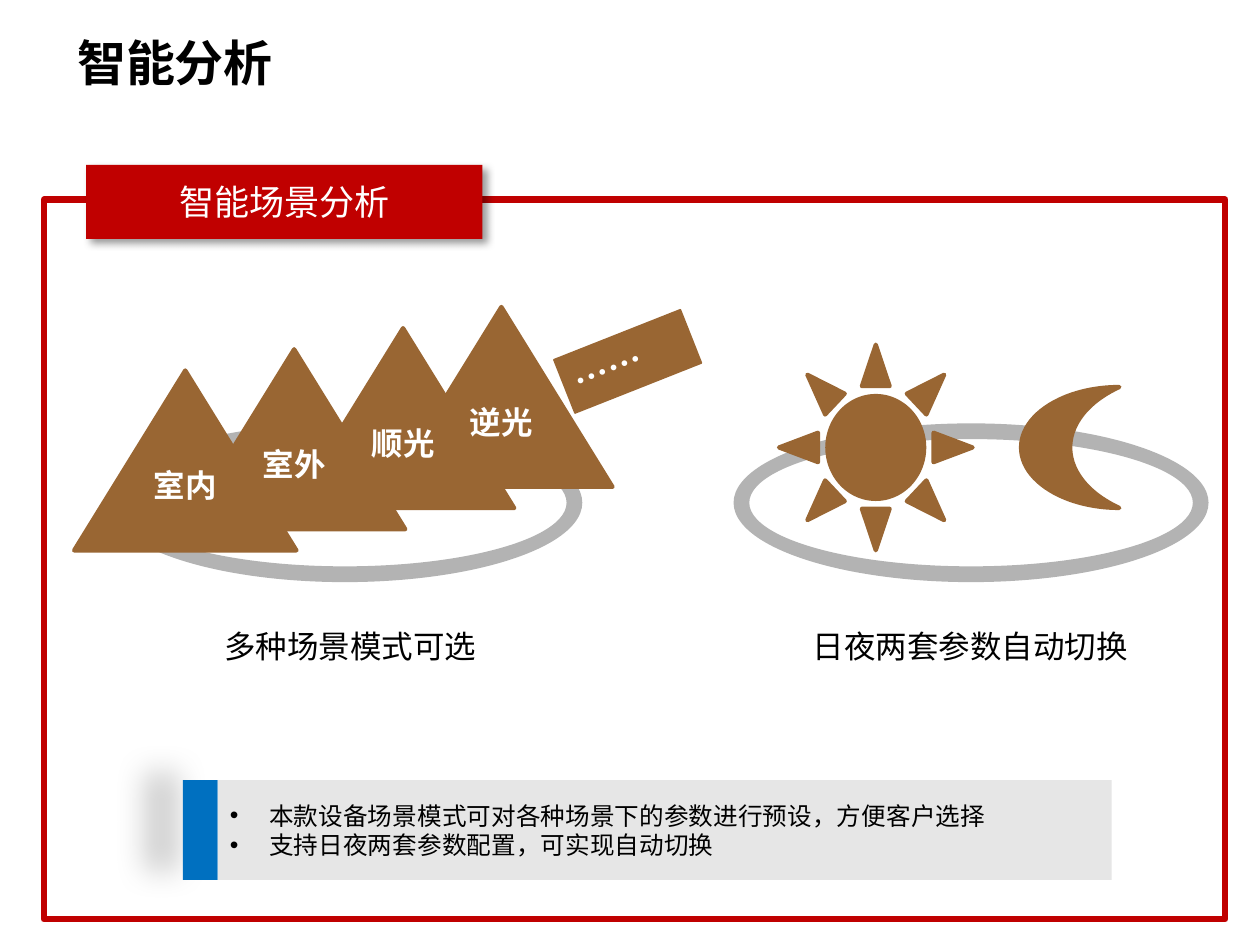
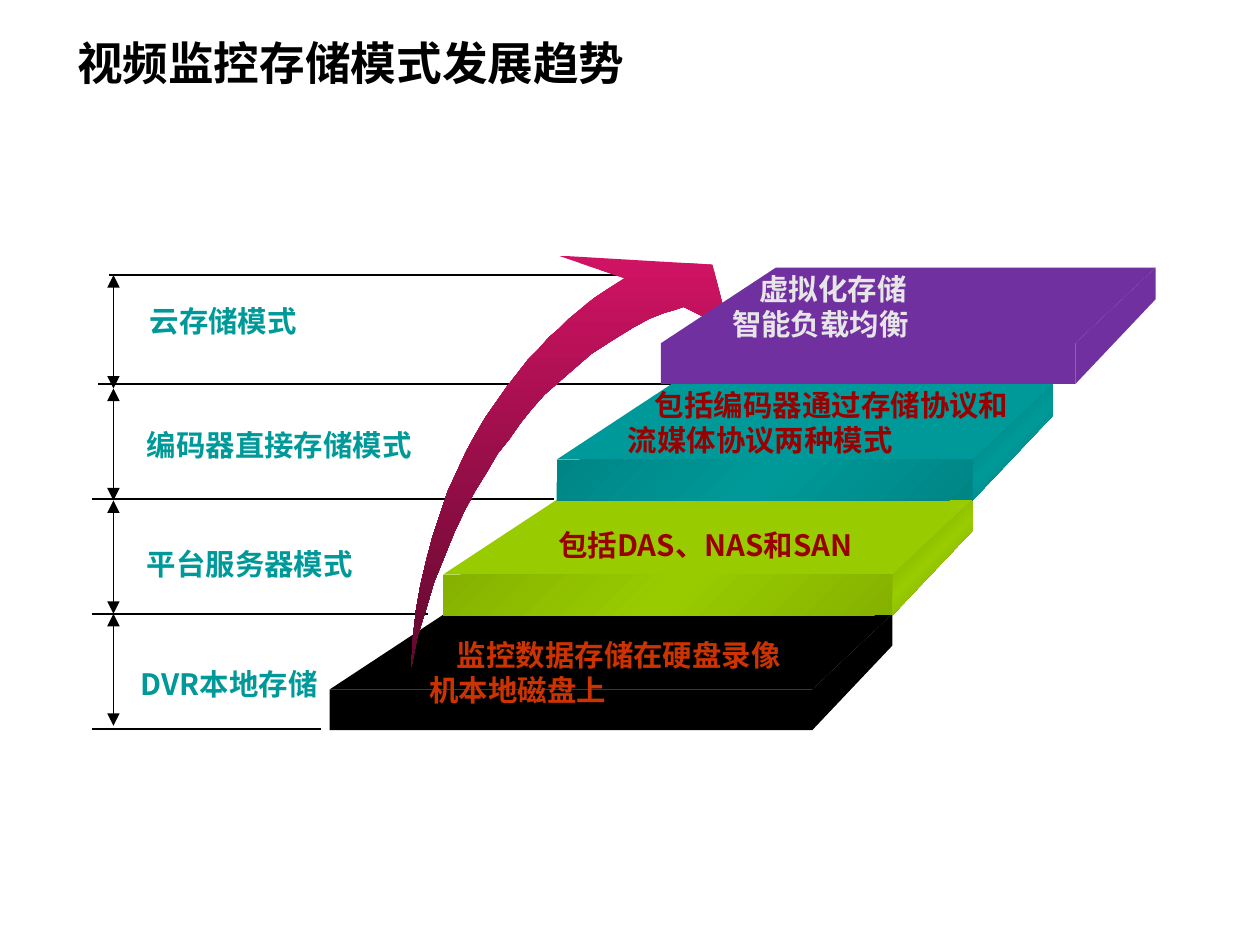
from dataclasses import dataclass
from itertools import pairwise

from lxml import etree
from pptx import Presentation
from pptx.dml.color import RGBColor
from pptx.enum.shapes import MSO_CONNECTOR as Connector, MSO_SHAPE as Shape
from pptx.enum.text import MSO_ANCHOR as Anchor, PP_ALIGN as Align
from pptx.oxml.ns import qn
from pptx.util import Pt

SCALE = 9144  # EMU per px, 100 px to the inch
LINE_PITCH = 1.2

BLACK = RGBColor(0x00, 0x00, 0x00)
WHITE = RGBColor(0xFF, 0xFF, 0xFF)
RED = RGBColor(0xC0, 0x00, 0x00)
BLUE = RGBColor(0x00, 0x70, 0xC0)
BROWN = RGBColor(0x99, 0x66, 0x33)
RING_GRAY = RGBColor(0xB3, 0xB3, 0xB3)
PALE_GRAY = RGBColor(0xE6, 0xE6, 0xE6)
TEAL = RGBColor(0x00, 0x99, 0x99)
TEAL_SHADE = RGBColor(0x00, 0x85, 0x85)
TEAL_DARK = RGBColor(0x00, 0x6D, 0x6D)
GREEN = RGBColor(0x99, 0xCC, 0x00)
GREEN_SHADE = RGBColor(0x85, 0xB1, 0x00)
GREEN_DARK = RGBColor(0x6D, 0x92, 0x00)
PURPLE = RGBColor(0x70, 0x30, 0xA0)
DARK_RED = RGBColor(0x99, 0x00, 0x00)
ORANGE_RED = RGBColor(0xCC, 0x33, 0x00)
PINK = RGBColor(0xD1, 0x13, 0x64)
WINE = RGBColor(0x61, 0x09, 0x2E)

SANS = "Noto Sans CJK SC"
DEJAVU = "DejaVu Sans"
ARIAL = "Arial"


@dataclass(frozen=True)
class Box:
    left: int
    top: int
    width: int
    height: int

    def emu(self) -> list[int]:
        return [n * SCALE for n in (self.left, self.top, self.width, self.height)]


@dataclass(frozen=True)
class Style:
    size: float
    color: RGBColor
    bold: bool = True
    font: str = SANS
    align: Align = Align.LEFT
    anchor: Anchor = Anchor.MIDDLE
    indent: int = 0
    bullet: bool = False


@dataclass(frozen=True)
class Label:
    box: Box
    text: str
    style: Style


@dataclass(frozen=True)
class Shadow:
    alpha: int
    blur: float
    distance: float
    angle: int


@dataclass(frozen=True)
class Slab:
    left: int
    right: int
    top: int
    color: RGBColor
    front_shade: RGBColor
    side_shade: RGBColor


def add_xml(parent, tag: str, **attributes):
    return etree.SubElement(parent, qn(tag), {k: str(v) for k, v in attributes.items()})


def write(shape, text: str, style: Style) -> None:
    """Fill a shape with text; each line of it is a paragraph."""
    frame = shape.text_frame
    frame.text = text
    frame.word_wrap = True
    frame.vertical_anchor = style.anchor
    frame.margin_left = frame.margin_right = 8 * SCALE
    frame.margin_top = frame.margin_bottom = 4 * SCALE
    for index, paragraph in enumerate(frame.paragraphs):
        paragraph.alignment = style.align
        paragraph.line_spacing = Pt(style.size * LINE_PITCH)
        properties = paragraph._p.get_or_add_pPr()
        if style.bullet:
            properties.set("marL", str(style.indent * SCALE))
            properties.set("indent", str(-style.indent * SCALE))
            add_xml(properties, "a:buFont", typeface=ARIAL)
            add_xml(properties, "a:buChar", char="•")
        elif style.indent and index == 0:
            properties.set("indent", str(style.indent * SCALE))
        for run in paragraph.runs:
            run.font.size = Pt(style.size)
            run.font.bold = style.bold
            run.font.name = style.font
            run.font.color.rgb = style.color
            run_properties = run._r.get_or_add_rPr()
            run_properties.set("lang", "zh-CN")
            add_xml(run_properties, "a:ea", typeface=style.font)


def paint(shape, colors: list[RGBColor], angle: int = 45) -> None:
    """Fill with one colour, or with evenly spaced gradient stops."""
    shape.shadow.inherit = False
    shape.line.fill.background()
    if len(set(colors)) == 1:
        shape.fill.solid()
        shape.fill.fore_color.rgb = colors[0]
        return
    shape.fill.gradient()
    gradient = shape._element.spPr.find(qn("a:gradFill"))
    gradient.clear()
    stops = add_xml(gradient, "a:gsLst")
    for index, color in enumerate(colors):
        stop = add_xml(stops, "a:gs", pos=index * 100000 // (len(colors) - 1))
        add_xml(stop, "a:srgbClr", val=color)
    add_xml(gradient, "a:lin", ang=angle * 60000, scaled=0)


def add_figure(slide, kind: Shape, box: Box, *colors: RGBColor, outline: float = 0):
    shape = slide.shapes.add_shape(kind, *box.emu())
    paint(shape, list(colors))
    if outline:
        shape.line.color.rgb = colors[0]
        shape.line.width = Pt(outline)
    return shape


def add_polygon(slide, points: list[tuple[int, int]], colors: list[RGBColor], angle: int = 45) -> None:
    builder = slide.shapes.build_freeform(*points[0], scale=SCALE)
    builder.add_line_segments(points[1:], close=True)
    paint(builder.convert_to_shape(), colors, angle)


def add_shadow(shape, shadow: Shadow) -> None:
    effects = shape._element.spPr.find(qn("a:effectLst"))
    outer = add_xml(effects, "a:outerShdw", blurRad=Pt(shadow.blur), dist=Pt(shadow.distance),
                    dir=shadow.angle * 60000, algn="ctr", rotWithShape=0)
    add_xml(add_xml(outer, "a:srgbClr", val=BLACK), "a:alpha", val=shadow.alpha * 1000)


def add_line(slide, start: tuple[int, int], end: tuple[int, int], arrows: bool = False) -> None:
    line = slide.shapes.add_connector(Connector.STRAIGHT, *(n * SCALE for n in start + end))
    line.line.color.rgb = BLACK
    line.line.width = Pt(0.75)
    if arrows:
        outline = line.line._get_or_add_ln()
        add_xml(outline, "a:headEnd", type="triangle")
        add_xml(outline, "a:tailEnd", type="triangle")
    add_xml(line._element.spPr, "a:effectLst")


def add_label(slide, label: Label) -> None:
    write(slide.shapes.add_textbox(*label.box.emu()), label.text, label.style)


def add_titled_slide(presentation, title: str, size: float):
    slide = presentation.slides.add_slide(presentation.slide_layouts[6])
    add_label(slide, Label(Box(43, 25, 602, 32), title, Style(size, BLACK)))
    return slide


def add_slab(slide, slab: Slab) -> None:
    """Draw a flat block seen from above: side, top, then front."""
    lean, reach, depth, thick = 76, 53, 50, 27
    front, back_right = slab.top + depth, slab.right + reach
    add_polygon(slide, [(back_right, slab.top + 21), (slab.right, front + thick),
                        (slab.right, front), (back_right, slab.top)],
                [slab.side_shade, slab.color, slab.side_shade])
    add_polygon(slide, [(slab.right, front), (slab.left, front),
                        (slab.left + lean, slab.top), (back_right, slab.top)], [slab.color])
    add_figure(slide, Shape.RECTANGLE, Box(slab.left, front, slab.right - slab.left, thick),
               slab.front_shade, slab.color, slab.front_shade)


def build_scene_slide(presentation) -> None:
    slide = add_titled_slide(presentation, "智能分析", 23.3)
    frame = add_figure(slide, Shape.RECTANGLE, Box(29, 132, 781, 476), RED, outline=3)
    frame.fill.background()

    heading = add_figure(slide, Shape.RECTANGLE, Box(57, 109, 262, 49), RED)
    add_shadow(heading, Shadow(40, 4, 3, 45))
    write(heading, "智能场景分析", Style(16.7, WHITE, False, ARIAL, Align.CENTER))

    marker = add_figure(slide, Shape.RECTANGLE, Box(121, 516, 23, 66), BLUE)
    add_shadow(marker, Shadow(18, 14.5, 19, 192))
    notes = add_figure(slide, Shape.RECTANGLE, Box(144, 516, 591, 66), PALE_GRAY)
    write(notes, "本款设备场景模式可对各种场景下的参数进行预设，方便客户选择\n"
                 "支持日夜两套参数配置，可实现自动切换",
          Style(11.7, BLACK, False, indent=26, bullet=True))

    for left in (71, 485):
        ring = add_figure(slide, Shape.DONUT, Box(left, 280, 314, 105), RING_GRAY)
        ring.adjustments[0] = 0.099

    peak_style = Style(15, WHITE, align=Align.CENTER, anchor=Anchor.TOP)
    peaks = (("逆光", 258), ("顺光", 193), ("室外", 121), ("室内", 49))
    for index, (name, left) in enumerate(peaks):
        peak = add_figure(slide, Shape.FLOWCHART_EXTRACT, Box(left, 203 + 14 * index, 147, 119),
                          BROWN, outline=2)
        write(peak, name, peak_style)
    more = add_figure(slide, Shape.RECTANGLE, Box(370, 220, 90, 38), BROWN, outline=0.75)
    more.rotation = 338.4
    write(more, "……", Style(16.7, WHITE))

    add_figure(slide, Shape.MOON, Box(675, 256, 65, 80), BROWN, outline=2)
    add_figure(slide, Shape.SUN, Box(515, 228, 128, 136), BROWN, outline=2)
    caption = Style(15, BLACK, False, align=Align.CENTER)
    add_label(slide, Label(Box(123, 410, 217, 35), "多种场景模式可选", caption))
    add_label(slide, Label(Box(516, 410, 251, 35), "日夜两套参数自动切换", caption))


def build_storage_slide(presentation) -> None:
    slide = add_titled_slide(presentation, "视频监控存储模式发展趋势", 21.7)
    for left, right, y in ((72, 451, 182), (65, 445, 254), (61, 366, 330),
                           (61, 283, 406), (61, 212, 482)):
        add_line(slide, (right, y), (left, y))
    for top, bottom in pairwise((182, 257, 331, 406, 480)):
        add_line(slide, (75, top), (75, bottom), arrows=True)

    for slab in (Slab(218, 537, 406, BLACK, BLACK, BLACK),
                 Slab(293, 590, 330, GREEN, GREEN_SHADE, GREEN_DARK),
                 Slab(368, 643, 254, TEAL, TEAL_SHADE, TEAL_DARK)):
        add_slab(slide, slab)

    outer_edge = [(272, 441), (273, 422), (275, 404), (278, 387), (282, 370), (286, 355),
                  (291, 340), (296, 325), (302, 312), (308, 299), (314, 288), (321, 276),
                  (328, 266), (335, 256), (342, 247), (349, 238), (356, 231), (363, 223),
                  (370, 217), (376, 211), (382, 206), (388, 201), (393, 197), (402, 191),
                  (413, 184)]
    head = [(369, 169), (471, 175), (482, 218)]
    inner_edge = [(452, 203), (446, 205), (439, 207), (429, 211), (418, 217), (405, 225),
                  (391, 234), (376, 247), (360, 261), (352, 270), (344, 280), (337, 290),
                  (329, 300), (322, 312), (314, 325), (307, 338), (300, 353), (294, 368),
                  (287, 385), (282, 402), (276, 421)]
    add_polygon(slide, outer_edge + head + inner_edge, [PINK, WINE], angle=90)
    add_slab(slide, Slab(437, 711, 177, PURPLE, PURPLE, PURPLE))

    mode = Style(14, TEAL, font=DEJAVU)
    for label in (
        Label(Box(91, 195, 233, 34), "云存储模式", mode),
        Label(Box(89, 277, 233, 34), "编码器直接存储模式", mode),
        Label(Box(89, 356, 187, 34), "平台服务器模式", mode),
        Label(Box(85, 435, 197, 34), "DVR本地存储", Style(14, TEAL)),
        Label(Box(276, 416, 256, 57), "监控数据存储在硬盘录像机本地磁盘上",
              Style(14, ORANGE_RED, indent=18)),
        Label(Box(361, 343, 256, 34), "包括DAS、NAS和SAN", Style(14, DARK_RED)),
        Label(Box(407, 251, 276, 57), "包括编码器通过存储协议和流媒体协议两种模式",
              Style(14, DARK_RED, indent=18)),
        Label(Box(476, 174, 276, 57), "虚拟化存储\n智能负载均衡",
              Style(14, PALE_GRAY, indent=18)),
    ):
        add_label(slide, label)


def main() -> None:
    presentation = Presentation()
    presentation.slide_width = 833 * SCALE
    presentation.slide_height = 625 * SCALE
    build_scene_slide(presentation)
    build_storage_slide(presentation)
    presentation.save("out.pptx")


if __name__ == "__main__":
    main()
